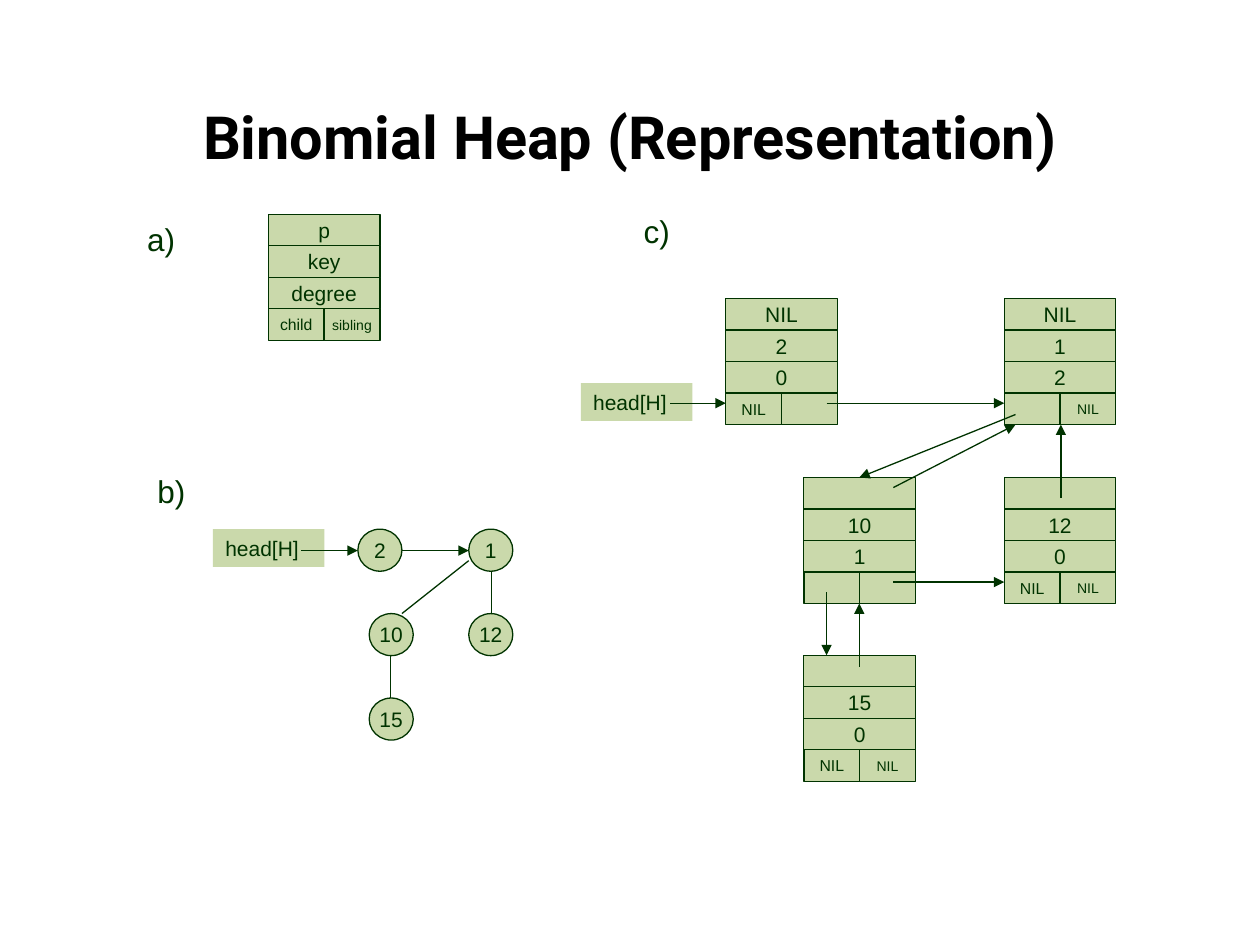
import pptx
import pptx.util
import pptx.dml.color
import pptx.enum.shapes
import pptx.enum.text
import pptx.oxml.ns
from lxml import etree

SHAPE = pptx.enum.shapes.MSO_SHAPE
ALIGN = pptx.enum.text.PP_ALIGN
ANCHOR = pptx.enum.text.MSO_ANCHOR
GREEN = pptx.dml.color.RGBColor(0xCA, 0xD9, 0xAB)
DARK = pptx.dml.color.RGBColor(0x00, 0x33, 0x00)
WHITE = pptx.dml.color.RGBColor(0xFF, 0xFF, 0xFF)
BLACK = pptx.dml.color.RGBColor(0x00, 0x00, 0x00)

prs = pptx.Presentation()
prs.slide_width = pptx.util.Inches(10)
prs.slide_height = pptx.util.Inches(7.5)
slide = prs.slides.add_slide(prs.slide_layouts[6])

# All positions are on a square grid of 100 columns by 75 rows
UNIT = prs.slide_width / 100
NODE_W, ROW_H = 8.86, 2.5
CIRCLE_W, CIRCLE_H = 3.5, 3.34


def add_box(x, y, w, h, text, size=12, kind=SHAPE.RECTANGLE, fill=GREEN, is_label=False):
    """Add a filled shape: outlined and centred, or a plain left-aligned label."""
    sp = slide.shapes.add_shape(kind, *(round(v * UNIT) for v in (x, y, w, h)))
    sp.shadow.inherit = False
    sp.fill.solid()
    sp.fill.fore_color.rgb = fill
    if is_label:
        sp.line.fill.background()
    else:
        sp.line.color.rgb = DARK
        sp.line.width = pptx.util.Pt(0.75)
    tf = sp.text_frame
    tf.word_wrap = is_label
    tf.vertical_anchor = ANCHOR.TOP if is_label else ANCHOR.MIDDLE
    tf.text = text
    p = tf.paragraphs[0]
    p.alignment = ALIGN.LEFT if is_label else ALIGN.CENTER
    for r in p.runs:
        r.font.size = pptx.util.Pt(size)
        r.font.name = "Arial"
        r.font.color.rgb = DARK


def add_line(x1, y1, x2, y2, arrow=True):
    cx = slide.shapes.add_connector(
        pptx.enum.shapes.MSO_CONNECTOR.STRAIGHT,
        *(round(v * UNIT) for v in (x1, y1, x2, y2)))
    cx.line.color.rgb = DARK
    cx.line.width = pptx.util.Pt(0.75)
    if arrow:
        ln = cx.line._get_or_add_ln()
        etree.SubElement(ln, pptx.oxml.ns.qn("a:tailEnd"), type="triangle")
    etree.SubElement(cx._element.spPr, pptx.oxml.ns.qn("a:effectLst"))


# Title
title = slide.shapes.add_textbox(*(round(v * UNIT) for v in (5, 6.8, 90, 7.9)))
tf = title.text_frame
tf.word_wrap = True
tf.vertical_anchor = ANCHOR.MIDDLE
tf.text = "Binomial Heap (Representation)"
p = tf.paragraphs[0]
p.alignment = ALIGN.CENTER
r = p.runs[0]
r.font.size = pptx.util.Pt(34)
r.font.name = "Roboto"
r.font.bold = True
r.font.color.rgb = BLACK

# Part letters
for x, y, w, text in [(10.7, 17, 8, "a)"), (11.5, 37, 6.2, "b)"), (50.1, 16.3, 9.7, "c)")]:
    add_box(x, y, w, 4, text, size=18, fill=WHITE, is_label=True)

# Node records: parent, key, degree, child, sibling
records = [
    (21.3, 17, ["p", "key", "degree", "child", "sibling"]),
    (57.6, 23.7, ["NIL", "2", "0", "NIL", ""]),
    (79.7, 23.7, ["NIL", "1", "2", "", "NIL"]),
    (63.8, 37.9, ["", "10", "1", "", ""]),
    (79.7, 37.9, ["", "12", "0", "NIL", "NIL"]),
    (63.8, 52, ["", "15", "0", "NIL", "NIL"]),
]
for x, y, (parent, key, degree, child, sibling) in records:
    for row, text in enumerate([parent, key, degree]):
        add_box(x, y + row * ROW_H, NODE_W, ROW_H, text)
    bottom = y + 3 * ROW_H
    add_box(x, bottom, NODE_W / 2, ROW_H, child, size=9)
    add_box(x + NODE_W / 2, bottom, NODE_W / 2, ROW_H, sibling, size=8)

# List heads
for x, y in [(16.9, 42), (46.1, 30.4)]:
    add_box(x, y, NODE_W, 3, "head[H]", is_label=True)

# Tree nodes
for x, y, key in [(28.4, 42, "2"), (37.2, 42, "1"), (29.3, 48.7, "10"),
                  (37.2, 48.7, "12"), (29.3, 55.4, "15")]:
    add_box(x, y, CIRCLE_W, CIRCLE_H, key, kind=SHAPE.OVAL)

# Tree edges
for ends in [(31, 52, 31, 55.4), (39, 45.4, 39, 48.7), (31.9, 48.7, 37.2, 44.5)]:
    add_line(*ends, arrow=False)

# Pointers
for ends in [
    (23.9, 43.7, 28.4, 43.7),  # head to 2 in the tree
    (31.9, 43.7, 37.2, 43.7),  # 2 to 1 in the tree
    (53.2, 32, 57.6, 32),      # head to 2
    (65.6, 32, 79.7, 32),      # 2 to sibling 1
    (80.6, 32.9, 68.2, 37.9),  # 1 to child 10
    (70.9, 38.7, 80.6, 33.7),  # 10 to parent 1
    (84.2, 39.5, 84.2, 33.7),  # 12 to parent 1
    (70.9, 46.2, 79.7, 46.2),  # 10 to sibling 12
    (65.6, 47, 65.6, 52),      # 10 to child 15
    (68.2, 52.9, 68.2, 47.9),  # 15 to parent 10
]:
    add_line(*ends)

prs.save("out.pptx")
